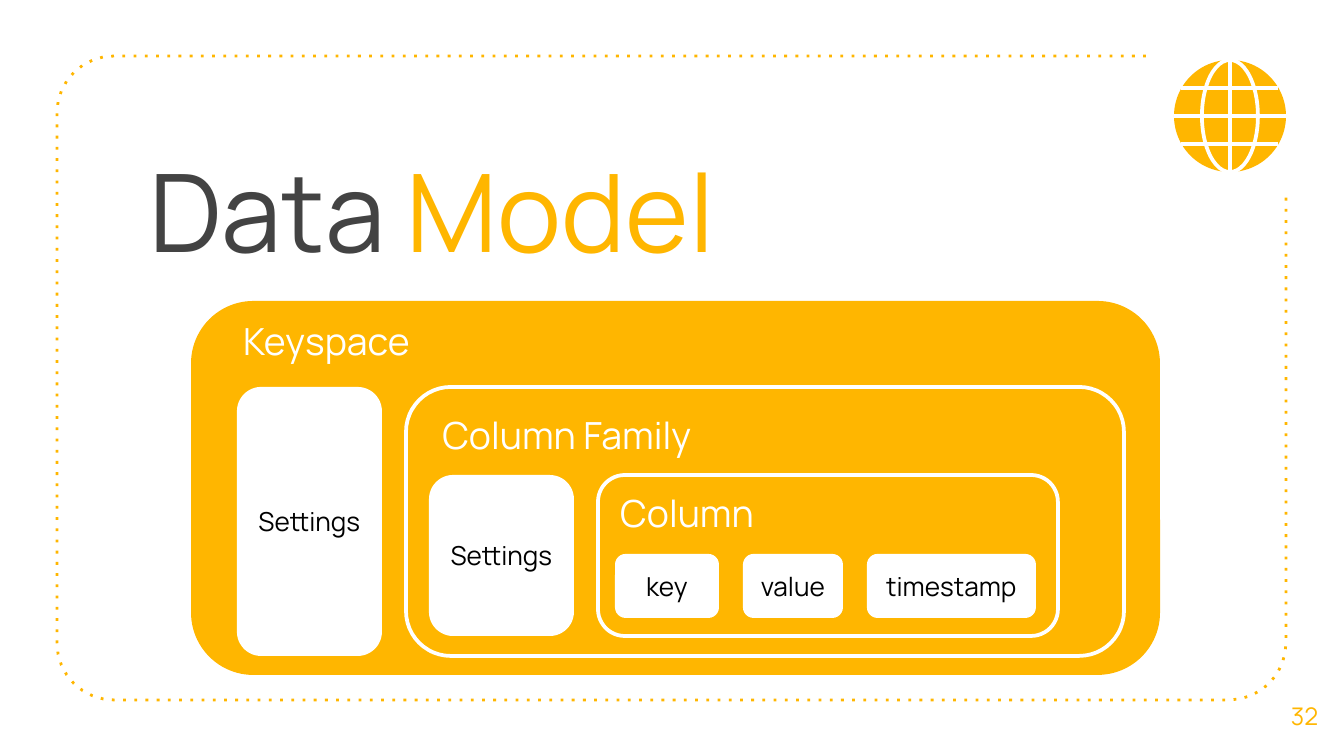
from math import cos, pi, sin

from pptx import Presentation
from pptx.dml.color import RGBColor
from pptx.enum.dml import MSO_LINE
from pptx.enum.shapes import MSO_CONNECTOR, MSO_SHAPE
from pptx.enum.text import MSO_ANCHOR, PP_ALIGN
from pptx.oxml.ns import qn
from pptx.util import Emu, Pt
from lxml import etree

ROUNDED, OVAL = MSO_SHAPE.ROUNDED_RECTANGLE, MSO_SHAPE.OVAL
STRAIGHT = MSO_CONNECTOR.STRAIGHT
DOTTED = MSO_LINE.ROUND_DOT
TOP, MIDDLE = MSO_ANCHOR.TOP, MSO_ANCHOR.MIDDLE
LEFT, CENTER = PP_ALIGN.LEFT, PP_ALIGN.CENTER

AMBER, WHITE, BLACK, GRAY = "FFB600", "FFFFFF", "000000", "434343"
FONT = "Manrope"
EMU_PER_PX = 914400 / 134.4

TITLE = [("Data ", GRAY), ("Model", AMBER)]
PAGE_NUMBER = "32"

GAP = 24
SETTINGS_WIDTH = 145
KEYSPACE = (191, 301, 969, 374)
# Each level: left, top, height, width of its group frame
LEVELS = [(237, 387, 269, 718), (429, 475, 161, 460)]
LABELS = [
    ("Keyspace", 230, 312, 199),
    ("Column Family", 429, 406, 290),
    ("Column", 607, 484, 165),
]
FIELDS = [("key", 104), ("value", 100), ("timestamp", 169)]
FIELDS_LEFT, FIELDS_TOP, FIELD_HEIGHT = 615, 554, 64

FRAME_LEFT, FRAME_TOP, FRAME_RIGHT, FRAME_BOTTOM = 57, 56, 1286, 700
FRAME_RADIUS = 57
FRAME_START, FRAME_END = (1146, FRAME_TOP), (FRAME_RIGHT, 196)

GLOBE_X, GLOBE_Y, GLOBE_RADIUS = 1230, 116, 56
MERIDIAN_RADIUS = 28
PARALLELS = [-28, 0, 28]


def px(length):
    return Emu(round(length * EMU_PER_PX))


def color(value):
    return RGBColor.from_string(value)


def write(box, spans, size, align=LEFT, anchor=TOP, margin=None, wrap=True):
    """Fill a shape with one paragraph of (text, colour) spans."""
    frame = box.text_frame
    frame.word_wrap = wrap
    frame.vertical_anchor = anchor
    if margin is not None:
        frame.margin_left = frame.margin_right = px(margin)
        frame.margin_top = frame.margin_bottom = px(margin)
    para = frame.paragraphs[0]
    para.alignment = align
    for text, tint in spans:
        span = para.add_run()
        span.text = text
        span.font.name = FONT
        span.font.size = Pt(size)
        span.font.color.rgb = color(tint)


def add_text(page, area, spans, size, **layout):
    box = page.shapes.add_textbox(*map(px, area))
    write(box, spans, size, **layout)


def add_block(page, area, kind=ROUNDED, fill=None, line=None, text=None):
    block = page.shapes.add_shape(kind, *map(px, area))
    block.shadow.inherit = False
    if fill:
        block.fill.solid()
        block.fill.fore_color.rgb = color(fill)
    else:
        block.fill.background()
    if line:
        block.line.color.rgb = color(line)
        block.line.width = Pt(2)
    else:
        block.line.fill.background()
    if text:
        write(block, [(text, BLACK)], 14, align=CENTER, anchor=MIDDLE)


def add_line(page, start, end):
    line = page.shapes.add_connector(STRAIGHT, *map(px, start + end))
    line.line.color.rgb = color(WHITE)
    line.line.width = Pt(2)
    etree.SubElement(line.element.spPr, qn("a:effectLst"))


def add_globe(page):
    for radius, look in ((GLOBE_RADIUS, {"fill": AMBER}),
                         (MERIDIAN_RADIUS, {"line": WHITE})):
        area = (GLOBE_X - radius, GLOBE_Y - GLOBE_RADIUS,
                2 * radius, 2 * GLOBE_RADIUS)
        add_block(page, area, kind=OVAL, **look)
    add_line(page, (GLOBE_X, GLOBE_Y - GLOBE_RADIUS),
             (GLOBE_X, GLOBE_Y + GLOBE_RADIUS))
    for offset in PARALLELS:
        half = (GLOBE_RADIUS ** 2 - offset ** 2) ** 0.5
        add_line(page, (GLOBE_X - half, GLOBE_Y + offset),
                 (GLOBE_X + half, GLOBE_Y + offset))


def corner(center_x, center_y, start):
    """Points of a quarter circle running counterclockwise from an angle."""
    angles = [start + step * pi / 16 for step in range(9)]
    return [(px(center_x + FRAME_RADIUS * cos(angle)),
             px(center_y - FRAME_RADIUS * sin(angle))) for angle in angles]


def add_dotted_frame(page):
    left, right = FRAME_LEFT + FRAME_RADIUS, FRAME_RIGHT - FRAME_RADIUS
    top, bottom = FRAME_TOP + FRAME_RADIUS, FRAME_BOTTOM - FRAME_RADIUS
    points = (corner(left, top, pi / 2) + corner(left, bottom, pi)
              + corner(right, bottom, 3 * pi / 2)
              + [tuple(map(px, FRAME_END))])
    builder = page.shapes.build_freeform(*map(px, FRAME_START))
    builder.add_line_segments(points, close=False)
    outline = builder.convert_to_shape()
    outline.shadow.inherit = False
    outline.fill.background()
    outline.line.color.rgb = color(AMBER)
    outline.line.width = Pt(1.5)
    outline.line.dash_style = DOTTED
    # The widely spaced "dot" pattern has no enum member
    for dash in outline.element.iter(qn("a:prstDash")):
        dash.set("val", "dot")


def add_data_model(page):
    add_block(page, KEYSPACE, fill=AMBER)
    for left, top, height, group_width in LEVELS:
        add_block(page, (left, top, SETTINGS_WIDTH, height), fill=WHITE,
                  text="Settings")
        group_left = left + SETTINGS_WIDTH + GAP
        add_block(page, (group_left, top, group_width, height), line=WHITE)
    left = FIELDS_LEFT
    for name, width in FIELDS:
        add_block(page, (left, FIELDS_TOP, width, FIELD_HEIGHT), fill=WHITE,
                  text=name)
        left += width + GAP
    for name, left, top, width in LABELS:
        add_text(page, (left, top, width, 59), [(name, WHITE)], 20, wrap=False)


def main():
    deck = Presentation()
    deck.slide_width, deck.slide_height = px(1344), px(756)
    page = deck.slides.add_slide(deck.slide_layouts[6])
    add_dotted_frame(page)
    add_text(page, (136, 131, 1009, 126), TITLE, 58, margin=13)
    add_text(page, (1265, 675, 79, 81), [(PAGE_NUMBER, AMBER)], 13,
             align=CENTER, anchor=MIDDLE, margin=13)
    add_data_model(page)
    add_globe(page)
    deck.save("out.pptx")


if __name__ == "__main__":
    main()
